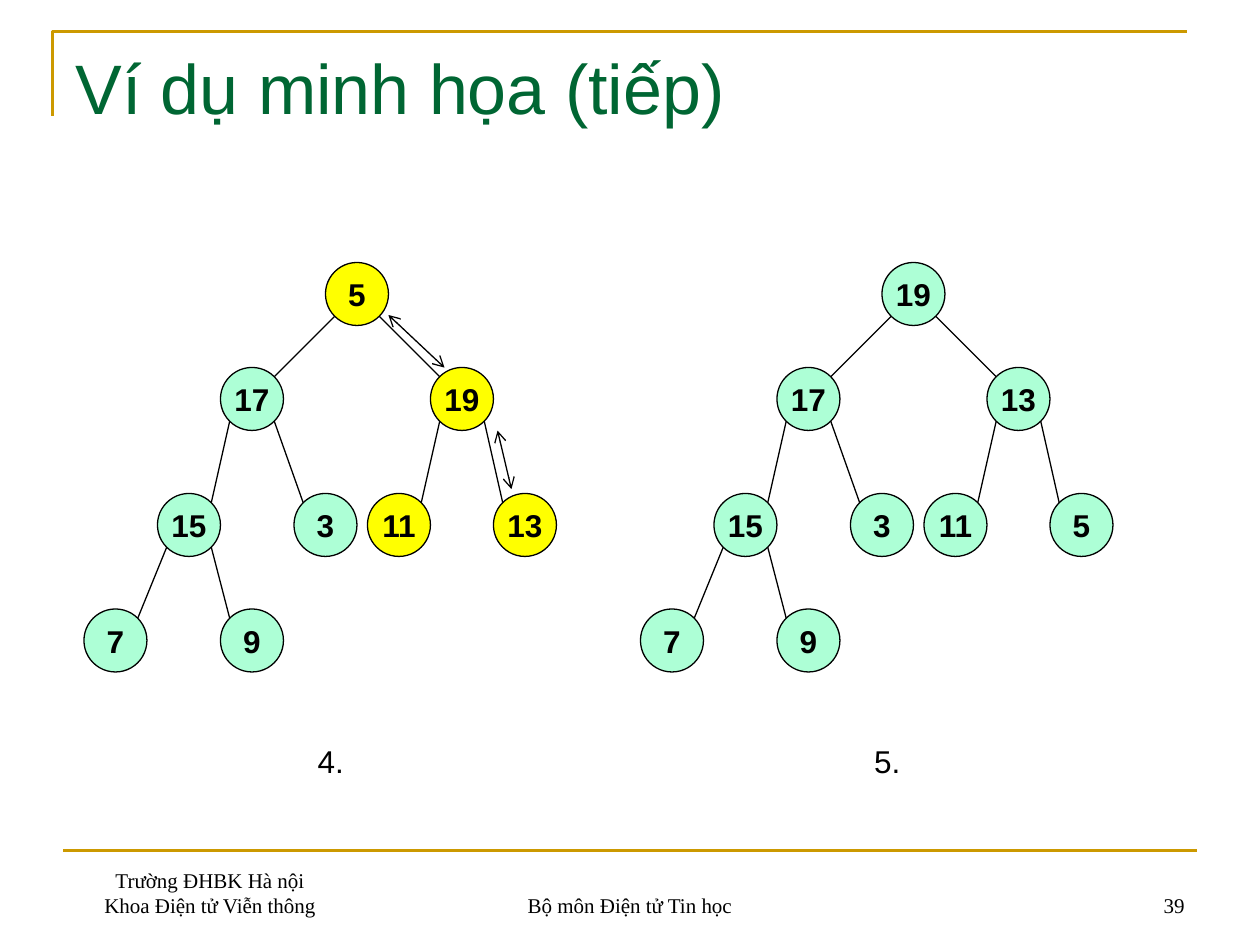
from math import sqrt

from lxml import etree
from pptx import Presentation
from pptx.dml.color import RGBColor
from pptx.enum.shapes import MSO_CONNECTOR, MSO_SHAPE
from pptx.enum.text import MSO_ANCHOR, PP_ALIGN
from pptx.oxml.ns import qn
from pptx.util import Cm, Pt

STRAIGHT = MSO_CONNECTOR.STRAIGHT
ELLIPSE = MSO_SHAPE.OVAL
TOP, MIDDLE, BOTTOM = MSO_ANCHOR.TOP, MSO_ANCHOR.MIDDLE, MSO_ANCHOR.BOTTOM
LEFT, CENTER, RIGHT = PP_ALIGN.LEFT, PP_ALIGN.CENTER, PP_ALIGN.RIGHT
COLORS = {"title": "006633", "rule": "CC9900", "ink": "000000",
          "settled": "ADFFD6", "swapped": "FFFF00"}


def write(shape, text, size=18, font="Arial", color="ink", bold=False,
          align=CENTER, anchor=TOP, side_inset=Cm(0.25)):
    frame = shape.text_frame
    frame.word_wrap = True
    frame.vertical_anchor = anchor
    frame.margin_left = frame.margin_right = side_inset
    frame.margin_top = frame.margin_bottom = Cm(0.13)
    frame.text = text
    for paragraph in frame.paragraphs:
        paragraph.alignment = align
        run_font = paragraph.runs[0].font
        run_font.name, run_font.size, run_font.bold = font, Pt(size), bold
        run_font.color.rgb = RGBColor.from_string(COLORS[color])


def draw_line(x1, y1, x2, y2, color="ink", width=0.75, arrows=False):
    connector = slide.shapes.add_connector(
        STRAIGHT, *(round(v) for v in (x1, y1, x2, y2)))
    connector.line.color.rgb = RGBColor.from_string(COLORS[color])
    connector.line.width = Pt(width)
    if arrows:
        outline = connector.line._get_or_add_ln()
        for end in ("a:headEnd", "a:tailEnd"):
            etree.SubElement(outline, qn(end), type="arrow")
    etree.SubElement(connector._element.spPr, qn("a:effectLst"))


prs = Presentation()
prs.slide_width, prs.slide_height = Cm(25.4), Cm(19.05)
slide = prs.slides.add_slide(prs.slide_layouts[5])

# Corner frame and footer rule
builder = slide.shapes.build_freeform(Cm(1.06), Cm(2.33))
builder.add_line_segments([(Cm(1.06), Cm(0.64)), (Cm(23.92), Cm(0.64))], close=False)
corner = builder.convert_to_shape()
corner.fill.background()
corner.line.color.rgb = RGBColor.from_string(COLORS["rule"])
corner.line.width = Pt(1.5)
corner.shadow.inherit = False
draw_line(Cm(1.27), Cm(17.15), Cm(24.13), Cm(17.15), color="rule", width=1.5)

# Title
title = slide.shapes.title
title.left, title.top, title.width, title.height = Cm(1.27), Cm(0.76), Cm(22.86), Cm(3.18)
write(title, "Ví dụ minh họa (tiếp)", size=40, color="title", align=LEFT)

# Footer
for text, left, width, align in [
    ("Trường ĐHBK Hà nội\nKhoa Điện tử Viễn thông", 1.27, 5.93, CENTER),
    ("Bộ môn Điện tử Tin học", 8.68, 8.04, CENTER),
    ("39", 18.2, 5.93, RIGHT),
]:
    footer = slide.shapes.add_textbox(Cm(left), Cm(17.36), Cm(width), Cm(1.27))
    write(footer, text, size=12, font="Times New Roman", align=align, anchor=BOTTOM)

# Heap trees: node centres in grid units, in level order
GRID = Cm(2.54) / 12
RADIUS = Cm(0.635)
DIAGONAL = RADIUS / sqrt(2)
TREE_STEP = 53
NODE_CENTERS = [(34, 28), (24, 38), (44, 38), (18, 50), (31, 50),
                (38, 50), (50, 50), (11, 61), (24, 61)]
trees = [
    ("4.", [5, 17, 19, 15, 3, 11, 13, 7, 9], {0, 2, 5, 6}),
    ("5.", [19, 17, 13, 15, 3, 11, 5, 7, 9], set()),
]
for step, (caption, values, swapped) in enumerate(trees):
    shift = step * TREE_STEP
    centers = [((x + shift) * GRID, y * GRID) for x, y in NODE_CENTERS]

    for i, (value, (x, y)) in enumerate(zip(values, centers)):
        node = slide.shapes.add_shape(ELLIPSE, round(x - RADIUS), round(y - RADIUS),
                                      2 * RADIUS, 2 * RADIUS)
        node.shadow.inherit = False
        node.fill.solid()
        node.fill.fore_color.rgb = RGBColor.from_string(
            COLORS["swapped" if i in swapped else "settled"])
        node.line.color.rgb = RGBColor.from_string(COLORS["ink"])
        node.line.width = Pt(0.75)
        write(node, str(value), bold=True, anchor=MIDDLE, side_inset=0)

    # The children of node i are nodes 2i + 1 (left) and 2i + 2 (right)
    for child in range(1, len(centers)):
        parent_x, parent_y = centers[(child - 1) // 2]
        child_x, child_y = centers[child]
        side = -DIAGONAL if child % 2 else DIAGONAL
        draw_line(parent_x + side, parent_y + DIAGONAL,
                  child_x - side, child_y - DIAGONAL)

    label = slide.shapes.add_textbox(round((25 + shift) * GRID), Cm(14.82),
                                     Cm(2.75), Cm(1.02))
    write(label, caption)

# Swap arrows along the sift-down route
for ends in [(7.83, 6.35, 8.96, 7.41), (10.03, 8.68, 10.31, 9.86)]:
    draw_line(*(Cm(v) for v in ends), arrows=True)

prs.save("out.pptx")
